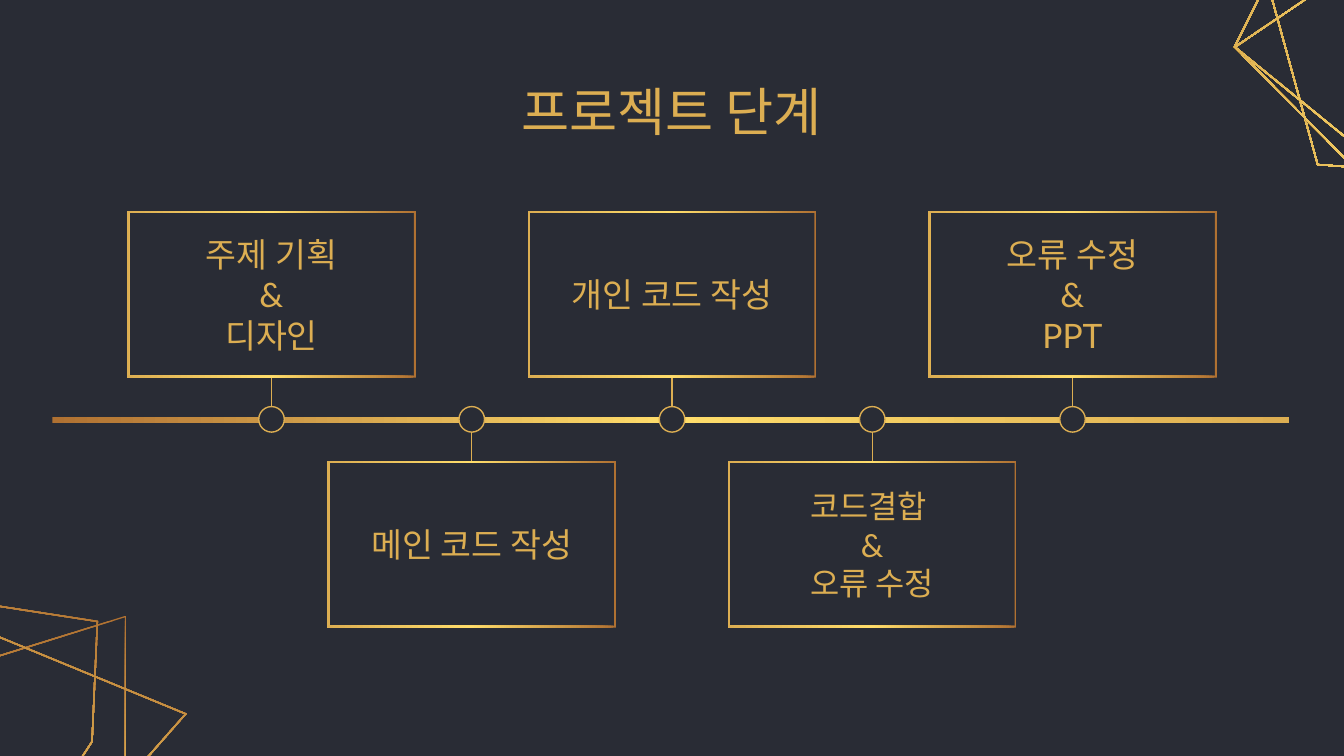
from copy import deepcopy

from lxml.etree import SubElement
from pptx import Presentation
from pptx.dml.color import RGBColor
from pptx.enum.shapes import MSO_CONNECTOR as Connector, MSO_SHAPE as Shape
from pptx.enum.text import MSO_ANCHOR as Anchor, MSO_AUTO_SIZE as AutoSize, PP_ALIGN as Align
from pptx.oxml.ns import qn
from pptx.util import Inches, Pt

NAVY = RGBColor(0x29, 0x2C, 0x35)
GOLD = RGBColor(0xDC, 0xAE, 0x52)
BRONZE = RGBColor(0xAF, 0x71, 0x32)
YELLOW = RGBColor(0xFF, 0xDD, 0x6B)
FONT = "Lato"

WIDTH = 10
HEIGHT = WIDTH * 9 / 16
STAGE_PITCH = 1.49
AXIS_Y = 3.12
DOT = 0.19
CARD_W, CARD_H, CARD_GAP = 2.15, 1.24, 0.31
LABEL_W, LABEL_H = 2.17, 0.39

STAGES = [
    (["주제 기획", "&", "디자인"], 18),
    (["메인 코드 작성"], 18),
    (["개인 코드 작성"], 18),
    (["코드결합 ", "&", "오류 수정"], 17),
    (["오류 수정", "&", "PPT"], 18),
]

CORNER_POLYGONS = [
    (270, [(-1.53, 8.99), (-3.26, 5.89), (0.94, 4.58), (0.94, 6.43)]),
    (184.8, [(9.34, -0.44), (10.42, -0.97), (11.77, 0.22),
             (12.09, 1.11), (11.56, 1.36), (9.8, 1.23)]),
    (184.8, [(9.18, 0.35), (9.58, -0.45), (12.01, 0.21), (12.17, 1.71), (10.04, 1.22)]),
    (184.8, [(9.18, 0.35), (11.09, -0.94), (12.17, 1.71), (10.97, 1.81)]),
    (246.2, [(-3.35, 7.18), (-3.27, 5.33), (-0.69, 4.4),
             (0.73, 4.62), (0.69, 5.52), (-0.78, 7.78)]),
    (246.2, [(-2.61, 8.32), (-3.38, 7.21), (-0.72, 4.44), (1.39, 5.31), (-0.81, 7.81)]),
]


def fill_with_gold(shape, angle):
    shape.shadow.inherit = False
    shape.line.fill.background()
    shape.fill.gradient()
    shape.fill.gradient_angle = angle
    stop_list = shape._element.spPr.find(qn("a:gradFill")).find(qn("a:gsLst"))
    stop_list.append(deepcopy(stop_list[0]))
    ramp = [(0, BRONZE), (0.5, YELLOW), (1, GOLD)]
    for stop, (position, color) in zip(shape.fill.gradient_stops, ramp):
        stop.position = position
        stop.color.rgb = color


def inset(corners, thickness):
    points = [complex(x, y) for x, y in corners]
    inner = []
    for i, point in enumerate(points):
        arriving = point - points[i - 1]
        leaving = points[(i + 1) % len(points)] - point
        normals = [1j * edge / abs(edge) for edge in (arriving, leaving)]
        bisector = sum(normals)
        shifted = point + 2 * thickness * bisector / abs(bisector) ** 2
        inner.append((shifted.real, shifted.imag))
    return inner


def add_outline(slide, corners, thickness, angle):
    outer, inner = (
        [(Inches(x), Inches(y)) for x, y in contour]
        for contour in (corners, inset(corners, thickness))
    )
    builder = slide.shapes.build_freeform(*outer[0])
    builder.add_line_segments(outer[1:], close=True)
    builder.move_to(*inner[0])
    builder.add_line_segments(inner[1:], close=True)
    fill_with_gold(builder.convert_to_shape(), angle)


def add_axis(slide):
    axis = slide.shapes.add_shape(
        Shape.RECTANGLE, Inches(0.39), Inches(3.1), Inches(9.2), Inches(0.05))
    fill_with_gold(axis, 0)


def add_dot(slide, x):
    dot = slide.shapes.add_shape(
        Shape.OVAL, Inches(x - DOT / 2), Inches(AXIS_Y - DOT / 2), Inches(DOT), Inches(DOT))
    dot.shadow.inherit = False
    dot.fill.solid()
    dot.fill.fore_color.rgb = NAVY
    dot.line.color.rgb = GOLD
    dot.line.width = Pt(0.75)


def add_stem(slide, x, start, end):
    stem = slide.shapes.add_connector(
        Connector.STRAIGHT, Inches(x), Inches(start), Inches(x), Inches(end))
    stem.line.color.rgb = GOLD
    stem.line.width = Pt(0.75)
    SubElement(stem._element.spPr, qn("a:effectLst"))


def write_text(holder, lines, size):
    frame = holder.text_frame
    frame.word_wrap = True
    frame.auto_size = AutoSize.NONE
    frame.vertical_anchor = Anchor.MIDDLE
    frame.margin_left = frame.margin_right = Inches(0.1)
    frame.margin_top = frame.margin_bottom = Inches(0.1)
    frame.text = "\n".join(lines)
    for paragraph in frame.paragraphs:
        paragraph.alignment = Align.CENTER
        paragraph.font.name = FONT
        paragraph.font.size = Pt(size)
        paragraph.font.color.rgb = GOLD


def add_title(slide, text):
    title = slide.shapes.title
    title.left, title.top = Inches(2.18), Inches(0.59)
    title.width, title.height = Inches(5.63), Inches(0.47)
    write_text(title, [text], 28)


def add_stage(slide, index, lines, size):
    x = WIDTH / 2 + (index - 2) * STAGE_PITCH
    side = -1 if index % 2 == 0 else 1
    middle = AXIS_Y + side * (CARD_GAP + CARD_H / 2)
    left, right = x - CARD_W / 2, x + CARD_W / 2
    top, bottom = middle - CARD_H / 2, middle + CARD_H / 2
    add_outline(slide, [(left, top), (right, top), (right, bottom), (left, bottom)], 0.015, 180)
    add_stem(slide, x, AXIS_Y + side * DOT / 2, AXIS_Y + side * CARD_GAP)
    add_dot(slide, x)
    label = slide.shapes.add_textbox(
        Inches(x - LABEL_W / 2), Inches(middle - LABEL_H / 2), Inches(LABEL_W), Inches(LABEL_H))
    write_text(label, lines, size)


def main():
    deck = Presentation()
    deck.slide_width, deck.slide_height = Inches(WIDTH), Inches(HEIGHT)
    slide = deck.slides.add_slide(deck.slide_layouts.get_by_name("Title Only"))
    slide.background.fill.solid()
    slide.background.fill.fore_color.rgb = NAVY
    for angle, corners in CORNER_POLYGONS:
        add_outline(slide, corners, 0.01, angle)
    add_axis(slide)
    for index, (lines, size) in enumerate(STAGES):
        add_stage(slide, index, lines, size)
    add_title(slide, "프로젝트 단계")
    deck.save("out.pptx")


if __name__ == "__main__":
    main()
